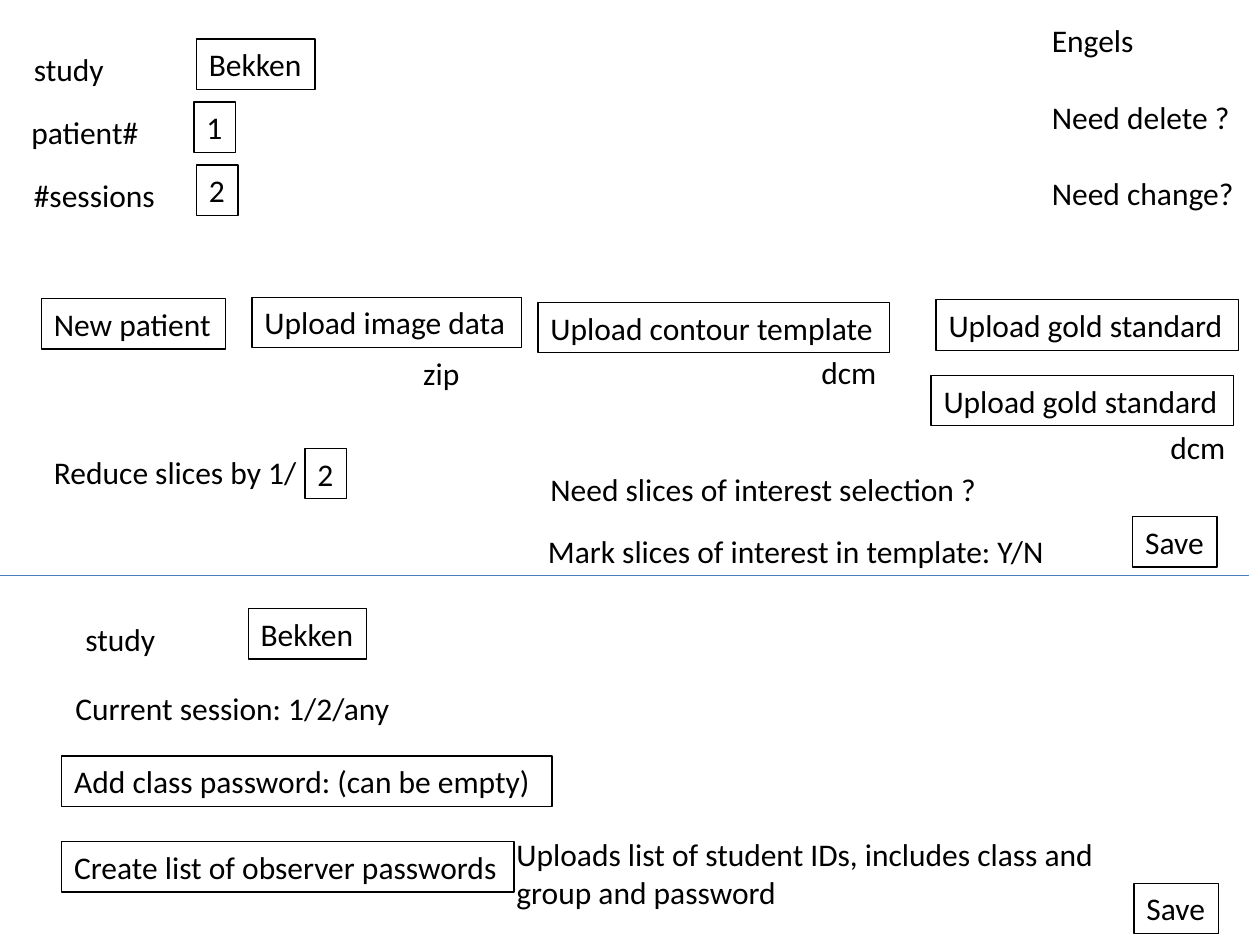
from dataclasses import dataclass

from lxml.etree import SubElement
from pptx import Presentation
from pptx.dml.color import RGBColor
from pptx.enum.shapes import MSO_CONNECTOR
from pptx.enum.text import MSO_AUTO_SIZE
from pptx.oxml.ns import qn
from pptx.util import Inches, Pt


@dataclass(frozen=True)
class Theme:
    font: str = "Calibri"
    size: float = 18
    ink: str = "000000"
    rule: str = "4B7EBC"
    line: float = 0.75
    high: float = 0.4


THEME = Theme()


def add_text(slide, text, left, top, width, high=THEME.high,
             edge=False, wrap=False, gap=0):
    """Add a label; a tuple of texts gives several paragraphs."""
    box = slide.shapes.add_textbox(
        Inches(left), Inches(top), Inches(width), Inches(high))
    if edge:
        box.line.color.rgb = RGBColor.from_string(THEME.ink)
        box.line.width = Pt(THEME.line)
    frame = box.text_frame
    frame.word_wrap = wrap
    frame.auto_size = MSO_AUTO_SIZE.SHAPE_TO_FIT_TEXT
    parts = (text,) if isinstance(text, str) else text
    for i, part in enumerate(parts):
        para = frame.add_paragraph() if i else frame.paragraphs[0]
        para.text = part
        para.space_before = Pt(gap if i else 0)
        for run in para.runs:
            run.font.name = THEME.font
            run.font.size = Pt(THEME.size)
            run.font.color.rgb = RGBColor.from_string(THEME.ink)
    return box


def add_box(slide, text, left, top, width, **form):
    """Add a framed field or button."""
    return add_text(slide, text, left, top, width, edge=True, **form)


def add_rule(slide, top, right):
    """Add a level line from the left edge."""
    rule = slide.shapes.add_connector(
        MSO_CONNECTOR.STRAIGHT, 0, Inches(top), Inches(right), Inches(top))
    rule.line.color.rgb = RGBColor.from_string(THEME.rule)
    rule.line.width = Pt(THEME.line)
    SubElement(rule._element.spPr, qn("a:effectLst"))


def add_study(slide, left, top):
    """Add the study label with its field."""
    add_text(slide, "study", left, top + 0.04, 0.76)
    add_box(slide, "Bekken", left + 1.39, top, 0.94)


def add_patient(slide):
    # Patient fields
    add_study(slide, 0.17, 0.31)
    fields = [("patient#", "1", 0.15, 1.06), ("#sessions", "2", 0.17, 1.17)]
    for i, (name, value, left, width) in enumerate(fields):
        top = 0.81 + 0.5 * i
        add_text(slide, name, left, top + 0.04, width)
        add_box(slide, value, left + 1.39, top, 0.33)

    # Open questions
    add_text(slide, ("Engels", "Need delete ?", "Need change?"),
             8.25, 0.12, 1.66, high=1.62, gap=22)

    # Upload buttons
    for text, left, top, width in [
        ("New patient", 0.33, 2.37, 1.46),
        ("Upload image data", 2, 2.36, 2.14),
        ("Upload contour template", 4.27, 2.4, 2.79),
        ("Upload gold standard", 7.43, 2.38, 2.4),
        ("Upload gold standard", 7.39, 2.98, 2.4),
    ]:
        add_box(slide, text, left, top, width)

    # File types and slice options
    for text, left, top, width in [
        ("zip", 3.26, 2.76, 0.49),
        ("dcm", 6.42, 2.75, 0.64),
        ("dcm", 9.19, 3.35, 0.64),
        ("Reduce slices by 1/", 0.33, 3.55, 2.15),
        ("Need slices of interest selection ?", 4.27, 3.68, 3.62),
        ("Mark slices of interest in template: Y/N", 4.25, 4.17, 4.18),
    ]:
        add_text(slide, text, left, top, width)
    add_box(slide, "2", 2.42, 3.56, 0.33)
    add_box(slide, "Save", 8.99, 4.1, 0.67)


def add_session(slide):
    # Session fields and passwords
    add_study(slide, 0.58, 4.83)
    add_text(slide, "Current session: 1/2/any", 0.5, 5.42, 2.72)
    add_box(slide, "Add class password: (can be empty)",
            0.49, 6, 3.89, wrap=True)
    add_box(slide, "Create list of observer passwords",
            0.49, 6.68, 3.59, wrap=True)
    add_text(slide, "Uploads list of student IDs, includes class and\n"
             "group and password", 4, 6.58, 4.89, high=0.71, wrap=True)
    add_box(slide, "Save", 9, 7.01, 0.67)


def main():
    deck = Presentation()
    deck.slide_width, deck.slide_height = Inches(10), Inches(7.5)
    slide = deck.slides.add_slide(deck.slide_layouts[6])
    add_patient(slide)
    add_rule(slide, 4.57, 9.91)
    add_session(slide)
    deck.save("out.pptx")


if __name__ == "__main__":
    main()
